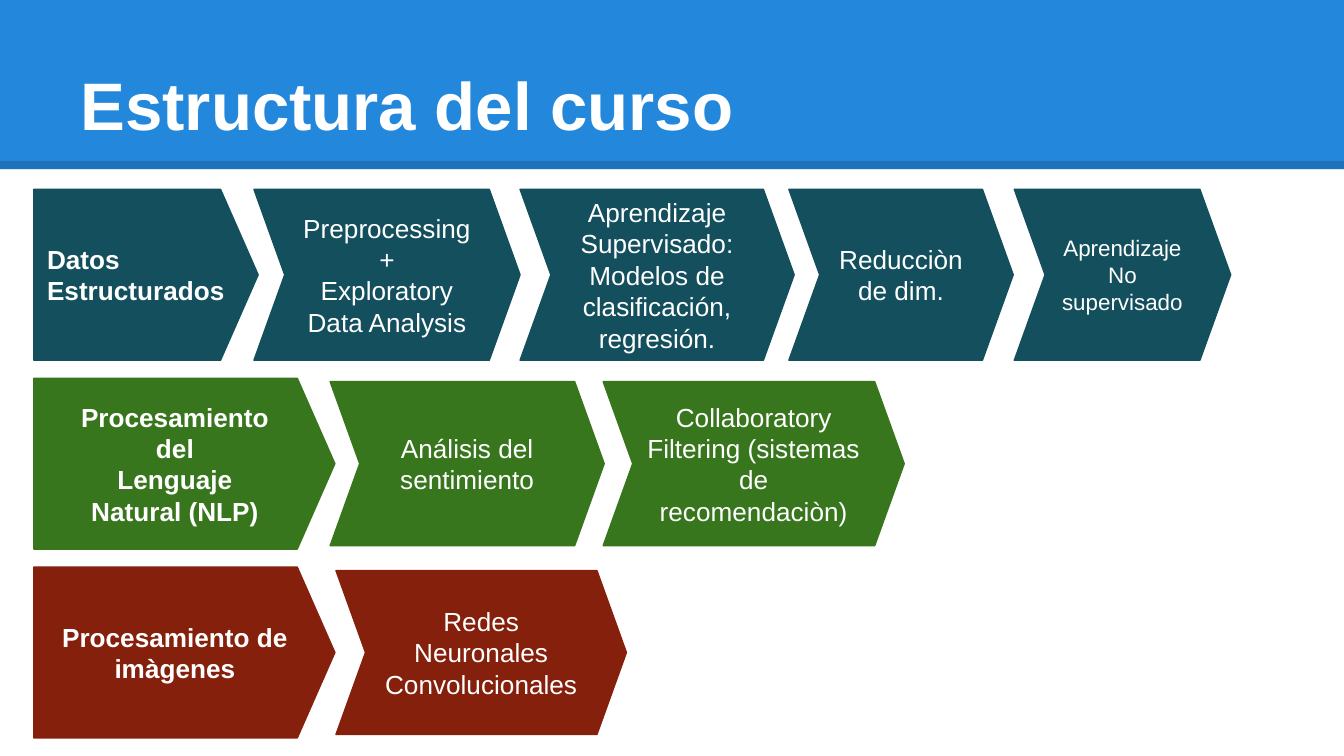
import pptx
import pptx.util
import pptx.dml.color
import pptx.enum.shapes
import pptx.enum.text
import pptx.oxml
import pptx.oxml.ns

Cm = pptx.util.Cm
Pt = pptx.util.Pt
RGBColor = pptx.dml.color.RGBColor
MSO_SHAPE = pptx.enum.shapes.MSO_SHAPE
PP_ALIGN = pptx.enum.text.PP_ALIGN
MSO_ANCHOR = pptx.enum.text.MSO_ANCHOR

BLUE = RGBColor(0x23, 0x88, 0xDB)
TEAL = RGBColor(0x13, 0x4F, 0x5C)
GREEN = RGBColor(0x38, 0x76, 0x1D)
RED = RGBColor(0x85, 0x20, 0x0C)
BLACK = RGBColor(0, 0, 0)
WHITE = RGBColor(0xFF, 0xFF, 0xFF)

FONT = "Arial"
SLIDE_WIDTH, SLIDE_HEIGHT = 25.4, 14.29
TRACK_LEFT, TRACK_TOP = 0.64, 3.58
TRACK_PITCH, TRACK_HEIGHT = 3.57, 3.23

# Each track: colour, topic (width, alignment, lines), step height,
# steps (offset from the track's left, width, font size, lines)
TRACKS = [
    (TEAL, (4.24, PP_ALIGN.LEFT, ["Datos Estructurados"]), 3.23, [
        (4.16, 5.03, 14, ["Preprocessing", "+", "Exploratory Data Analysis"]),
        (9.19, 5.18, 14, ["Aprendizaje Supervisado:",
                          "Modelos de clasificación, regresión."]),
        (14.27, 4.24, 14, ["Reducciòn", "de dim."]),
        (18.53, 4.09, 12, ["Aprendizaje No supervisado"]),
    ]),
    (GREEN, (5.69, PP_ALIGN.CENTER,
             ["Procesamiento", "del", "Lenguaje", "Natural (NLP)"]), 3.1, [
        (5.6, 5.18, 14, ["Análisis del sentimiento"]),
        (10.76, 5.69, 14,
         ["Collaboratory Filtering (sistemas de recomendaciòn)"]),
    ]),
    (RED, (5.69, PP_ALIGN.CENTER, ["Procesamiento de imàgenes"]), 3.1, [
        (5.71, 5.49, 14, ["Redes Neuronales Convolucionales"]),
    ]),
]


def write_lines(frame, lines, size, bold, align, anchor):
    frame.word_wrap = True
    frame.vertical_anchor = anchor
    frame.margin_left = frame.margin_right = Cm(0.25)
    frame.margin_top = frame.margin_bottom = Cm(0.25)
    frame.text = "\n".join(lines)
    for paragraph in frame.paragraphs:
        paragraph.alignment = align
        paragraph.font.name = FONT
        paragraph.font.size = Pt(size)
        paragraph.font.bold = bold
        paragraph.font.color.rgb = WHITE


def add_header(slide, left, top, width, height):
    band = slide.shapes.add_shape(
        MSO_SHAPE.RECTANGLE, Cm(left), Cm(top), Cm(width), Cm(height))
    band.shadow.inherit = False
    band.fill.solid()
    band.fill.fore_color.rgb = BLUE
    band.line.fill.background()

    edge_y = Cm(top + height - 0.08)
    edge = slide.shapes.add_connector(
        pptx.enum.shapes.MSO_CONNECTOR.STRAIGHT,
        Cm(left), edge_y, Cm(left + width), edge_y)
    edge.line.width = Pt(4.5)
    edge.line.color.rgb = BLACK
    properties = edge._element.spPr
    color = properties.find(".//" + pptx.oxml.ns.qn("a:srgbClr"))
    color.append(pptx.oxml.parse_xml(
        f'<a:alpha {pptx.oxml.ns.nsdecls("a")} val="15000"/>'))
    properties.append(pptx.oxml.parse_xml(
        f'<a:effectLst {pptx.oxml.ns.nsdecls("a")}/>'))

    title = slide.shapes.add_textbox(
        Cm(left + 1.27), Cm(top + 0.58), Cm(width - 2.54), Cm(2.39))
    write_lines(title.text_frame, ["Estructura del curso"], 36, True,
                PP_ALIGN.LEFT, MSO_ANCHOR.BOTTOM)


def add_arrow(slide, preset, point, box, color, lines, size, bold, align):
    """Add a block arrow; point is its tip length over its height."""
    arrow = slide.shapes.add_shape(preset, *(Cm(length) for length in box))
    arrow.adjustments[0] = point
    arrow.shadow.inherit = False
    arrow.fill.solid()
    arrow.fill.fore_color.rgb = color
    arrow.line.color.rgb = color
    arrow.line.width = Pt(0.75)
    write_lines(arrow.text_frame, lines, size, bold, align, MSO_ANCHOR.MIDDLE)


def add_track(slide, left, top, height, color, topic, step_height, steps):
    """Add a topic arrow followed by its steps, centred on the topic."""
    step_top = top + (height - step_height) / 2
    for offset, width, size, lines in steps:
        add_arrow(slide, MSO_SHAPE.CHEVRON, 0.18,
                  (left + offset, step_top, width, step_height),
                  color, lines, size, False, PP_ALIGN.CENTER)
    topic_width, align, lines = topic
    add_arrow(slide, MSO_SHAPE.PENTAGON, 0.22,
              (left, top, topic_width, height), color, lines, 14, True, align)


def main():
    presentation = pptx.Presentation()
    presentation.slide_width = Cm(SLIDE_WIDTH)
    presentation.slide_height = Cm(SLIDE_HEIGHT)
    slide = presentation.slides.add_slide(presentation.slide_layouts[6])
    add_header(slide, 0, 0, SLIDE_WIDTH, 3.2)
    for row, track in enumerate(TRACKS):
        add_track(slide, TRACK_LEFT, TRACK_TOP + row * TRACK_PITCH,
                  TRACK_HEIGHT, *track)
    presentation.save("out.pptx")


if __name__ == "__main__":
    main()
